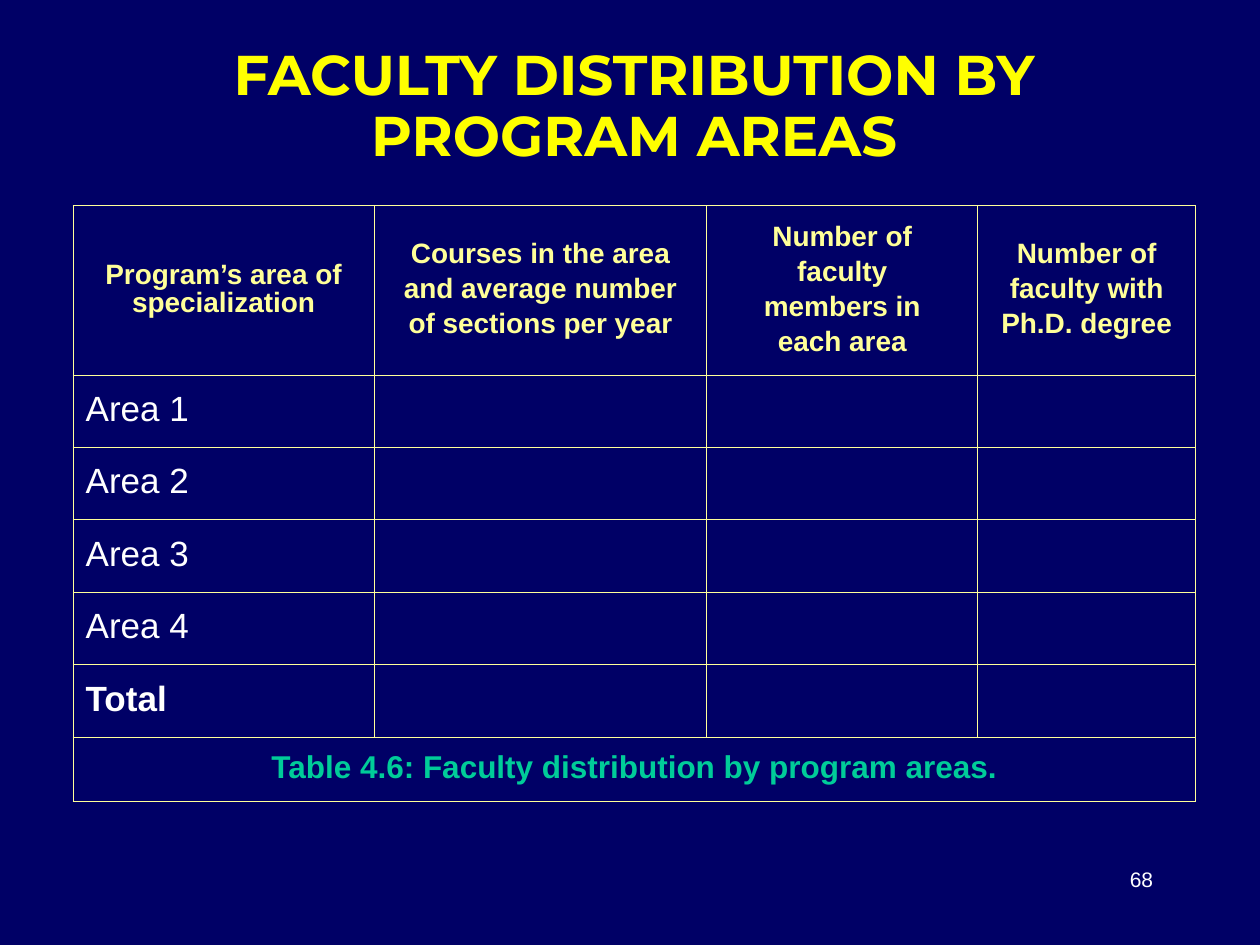
from lxml import etree
from pptx import Presentation
from pptx import util as u
from pptx.dml import color
from pptx.enum import text
from pptx.oxml import ns

COLORS = {"navy": "000066", "yellow": "FFFF00", "cream": "FFFF99",
          "white": "FFFFFF", "green": "00CC99"}
CENTER, LEFT = text.PP_ALIGN.CENTER, text.PP_ALIGN.LEFT


def rgb(name):
    return color.RGBColor.from_string(COLORS[name])


def fill_cell(cell, words, size, ink, bold, align, font="Arial", gap=0):
    cell.text_frame.text = words
    for number, para in enumerate(cell.text_frame.paragraphs):
        para.alignment = align
        para.line_spacing = 0.9
        if number:
            para.space_before = u.Pt(gap)
        for span in para.runs:
            span.font.name = font
            span.font.size = u.Pt(size)
            span.font.bold = bold
            span.font.color.rgb = rgb(ink)


deck = Presentation()
deck.slide_width, deck.slide_height = u.Inches(10), u.Inches(7.5)
page = deck.slides.add_slide(deck.slide_layouts[6])
page.background.fill.solid()
page.background.fill.fore_color.rgb = rgb("navy")

widths = [2.39, 2.64, 2.15, 1.73]
heights = [1.55, 1.35] + [0.57] * 2 + [0.58, 0.57, 0.58, 0.51]
frame = page.shapes.add_table(len(heights), len(widths), u.Inches(0.58), u.Inches(0.08),
                              u.Inches(sum(widths)), u.Inches(sum(heights)))
table = frame.table
table.first_row = table.horz_banding = False
for column, width in zip(table.columns, widths):
    column.width = u.Inches(width)
for row, height in zip(table.rows, heights):
    row.height = u.Inches(height)

last = len(heights) - 1
for index, row in enumerate(table.rows):
    for cell in row.cells:
        cell.vertical_anchor = text.MSO_ANCHOR.MIDDLE
        properties = cell._tc.get_or_add_tcPr()
        for side in "LRTB":
            line = etree.SubElement(properties, ns.qn(f"a:ln{side}"), w=str(u.Pt(0.45)))
            if index == 0 and side != "B":
                etree.SubElement(line, ns.qn("a:noFill"))
            else:
                paint = etree.SubElement(line, ns.qn("a:solidFill"))
                etree.SubElement(paint, ns.qn("a:srgbClr"), val=COLORS["cream"])
        cell.fill.background()
for index in (0, last):
    table.cell(index, 0).merge(table.cell(index, len(widths) - 1))

fill_cell(table.cell(0, 0), "FACULTY DISTRIBUTION BY PROGRAM AREAS", 32, "yellow", True,
          CENTER, font="Montserrat")
headings = ["Program’s area of specialization",
            "Courses in the area\nand average number\nof sections per year",
            "Number of\nfaculty\nmembers in\neach area",
            "Number of\nfaculty with\nPh.D. degree"]
for index, heading in enumerate(headings):
    fill_cell(table.cell(1, index), heading, 16, "cream", True, CENTER, gap=4)
for index, label in enumerate(["Area 1", "Area 2", "Area 3", "Area 4", "Total"], start=2):
    fill_cell(table.cell(index, 0), label, 20, "white", label == "Total", LEFT)
fill_cell(table.cell(last, 0), "Table 4.6: Faculty distribution by program areas.", 18,
          "green", True, CENTER)

box = page.shapes.add_textbox(u.Inches(7.17), u.Inches(6.83), u.Inches(2.08), u.Inches(0.5))
box.text_frame.word_wrap = True
box.text_frame.text = "68"
para = box.text_frame.paragraphs[0]
para.alignment = text.PP_ALIGN.RIGHT
para.font.name = "Arial"
para.font.size = u.Pt(12)
para.font.color.rgb = rgb("white")

deck.save("out.pptx")
